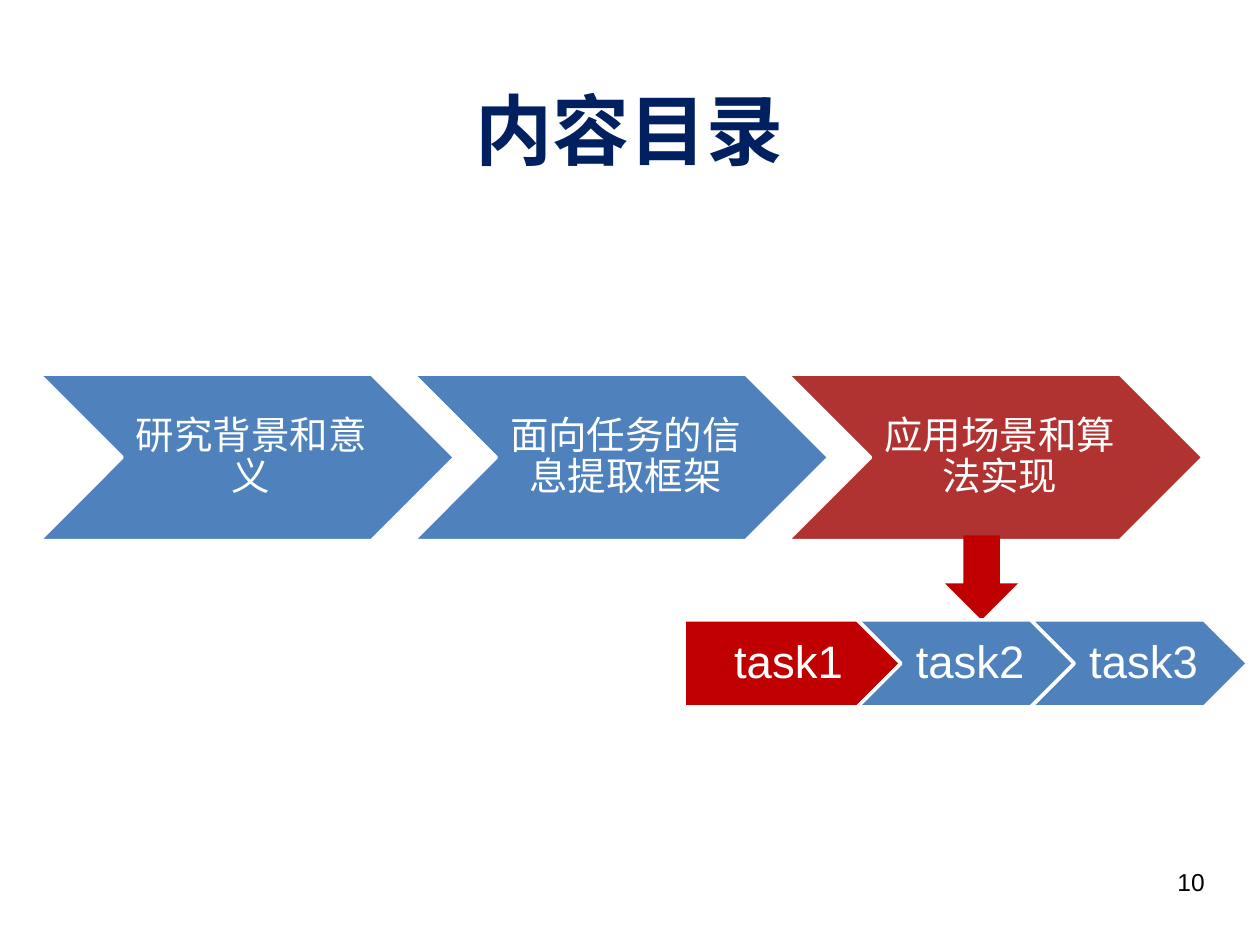
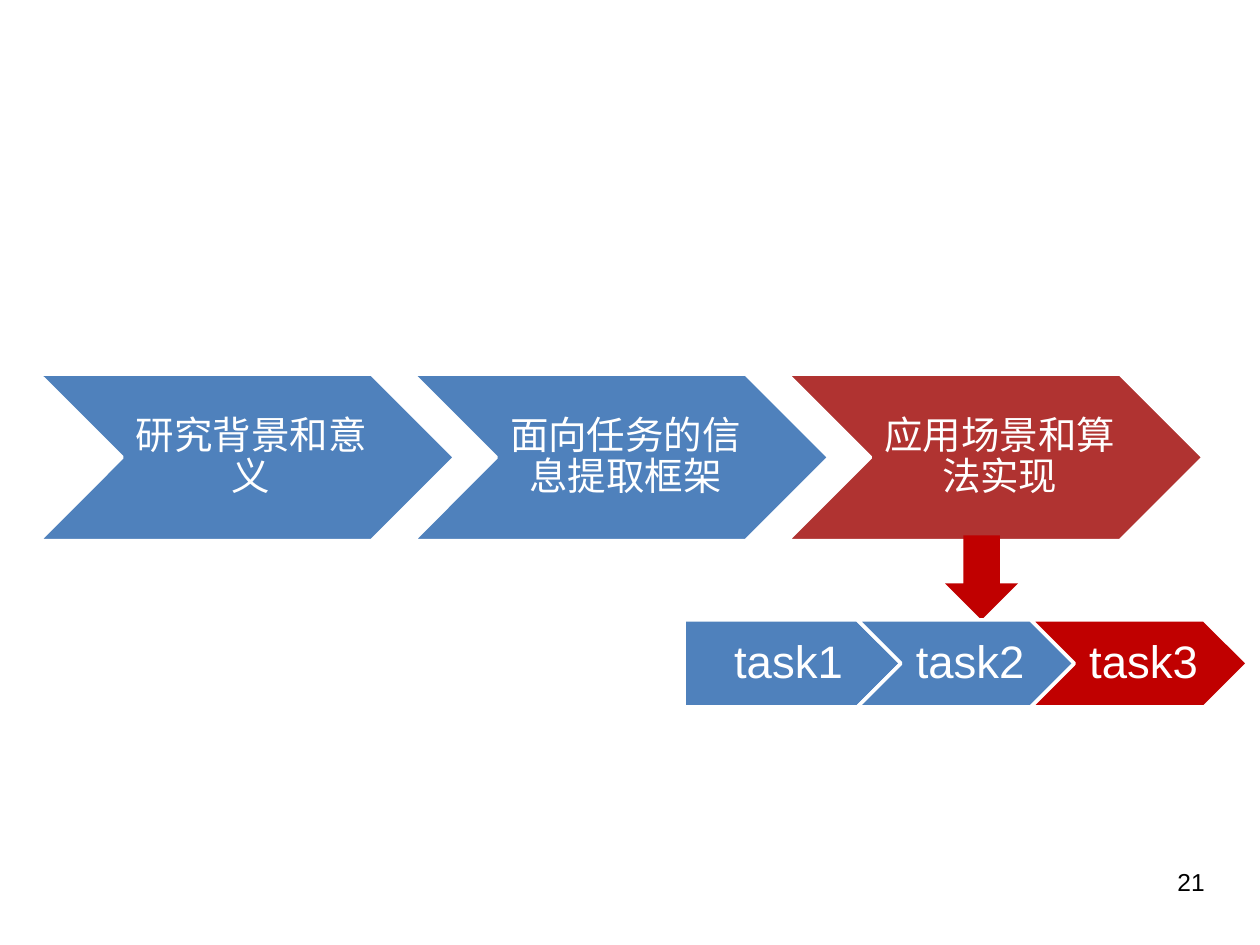
from lxml.etree import SubElement
from pptx import Presentation
from pptx.dml.color import RGBColor
from pptx.enum.shapes import MSO_SHAPE
from pptx.enum.text import MSO_ANCHOR, PP_ALIGN
from pptx.oxml.ns import qn
from pptx.util import Inches, Pt

CHAPTERS = ["研究背景和意义", "面向任务的信息提取框架", "应用场景和算法实现"]
TASKS = ["task1", "task2", "task3"]
PAGES = [
    {"title": "内容目录", "number": "10", "current_task": "task1"},
    {"title": None, "number": "21", "current_task": "task3"},
]
CURRENT_CHAPTER = CHAPTERS[-1]

NAVY, BLUE, BRICK, RED = "002060", "4F81BC", "B03331", "C00000"
WHITE, BLACK = "FFFFFF", "000000"
CHINESE, LATIN = "Noto Sans CJK SC", "Arial"

CHAPTER_ROW = {
    "left": 0.31, "top": 2.97, "width": 3.3, "height": 1.32, "step": 0.9,
    "font": CHINESE, "size": 22, "margins": (0.1, 0.03, 0.03, 0.03),
    "first_shape": MSO_SHAPE.CHEVRON, "first_inset": 0.1, "highlight": BRICK,
}
TASK_ROW = {
    "left": 5.43, "top": 4.92, "width": 1.72, "height": 0.69, "step": 0.8,
    "font": LATIN, "size": 26, "margins": (0.11, 0.08, 0.04, 0.08),
    "first_shape": MSO_SHAPE.PENTAGON, "first_inset": 0.15, "highlight": RED,
}


def color(hex_value):
    return RGBColor.from_string(hex_value)


def write(box, text, font, size, hex_value, align, bold=False, spacing=1.0):
    box.text_frame.word_wrap = True
    para = box.text_frame.paragraphs[0]
    para.alignment = align
    para.line_spacing = spacing
    span = para.add_run()
    span.text = text
    span.font.name = font
    span.font.size = Pt(size)
    span.font.bold = bold
    span.font.color.rgb = color(hex_value)
    SubElement(span.font._element, qn("a:ea"), typeface=font)


def add_text(page, text, area, font, size, hex_value, align, anchor, bold=False):
    box = page.shapes.add_textbox(*map(Inches, area))
    box.text_frame.vertical_anchor = anchor
    write(box, text, font, size, hex_value, align, bold)


def add_filled(page, kind, area, fill):
    shape = page.shapes.add_shape(kind, *map(Inches, area))
    shape.shadow.inherit = False
    shape.fill.solid()
    shape.fill.fore_color.rgb = color(fill)
    shape.line.fill.background()
    return shape


def add_steps(page, labels, current, row):
    for index, label in enumerate(labels):
        kind = MSO_SHAPE.CHEVRON if index else row["first_shape"]
        left = row["left"] + index * row["step"] * row["width"]
        area = (left, row["top"], row["width"], row["height"])
        fill = row["highlight"] if label == current else BLUE
        shape = add_filled(page, kind, area, fill)
        shape.line.color.rgb = color(WHITE)
        shape.line.width = Pt(2)
        frame = shape.text_frame
        frame.vertical_anchor = MSO_ANCHOR.MIDDLE
        inset_left, inset_top, inset_right, inset_bottom = row["margins"]
        frame.margin_left = Inches(inset_left if index else row["first_inset"])
        frame.margin_top = Inches(inset_top)
        frame.margin_right = Inches(inset_right)
        frame.margin_bottom = Inches(inset_bottom)
        write(shape, label, row["font"], row["size"], WHITE, PP_ALIGN.CENTER, spacing=0.9)


def build_page(deck, content):
    page = deck.slides.add_slide(deck.slide_layouts[6])
    if content["title"]:
        add_text(page, content["title"], (0.33, 0.65, 9.34, 0.74), CHINESE, 44, NAVY,
                 PP_ALIGN.CENTER, MSO_ANCHOR.MIDDLE, bold=True)
    add_text(page, content["number"], (7.16, 6.83, 2.5, 0.52), LATIN, 14, BLACK,
             PP_ALIGN.RIGHT, MSO_ANCHOR.TOP)
    add_steps(page, CHAPTERS, CURRENT_CHAPTER, CHAPTER_ROW)
    add_filled(page, MSO_SHAPE.DOWN_ARROW, (7.5, 4.25, 0.58, 0.67), RED)
    add_steps(page, TASKS, content["current_task"], TASK_ROW)


def main():
    deck = Presentation()
    deck.slide_width, deck.slide_height = Inches(10), Inches(7.5)
    for content in PAGES:
        build_page(deck, content)
    deck.save("out.pptx")


if __name__ == "__main__":
    main()
